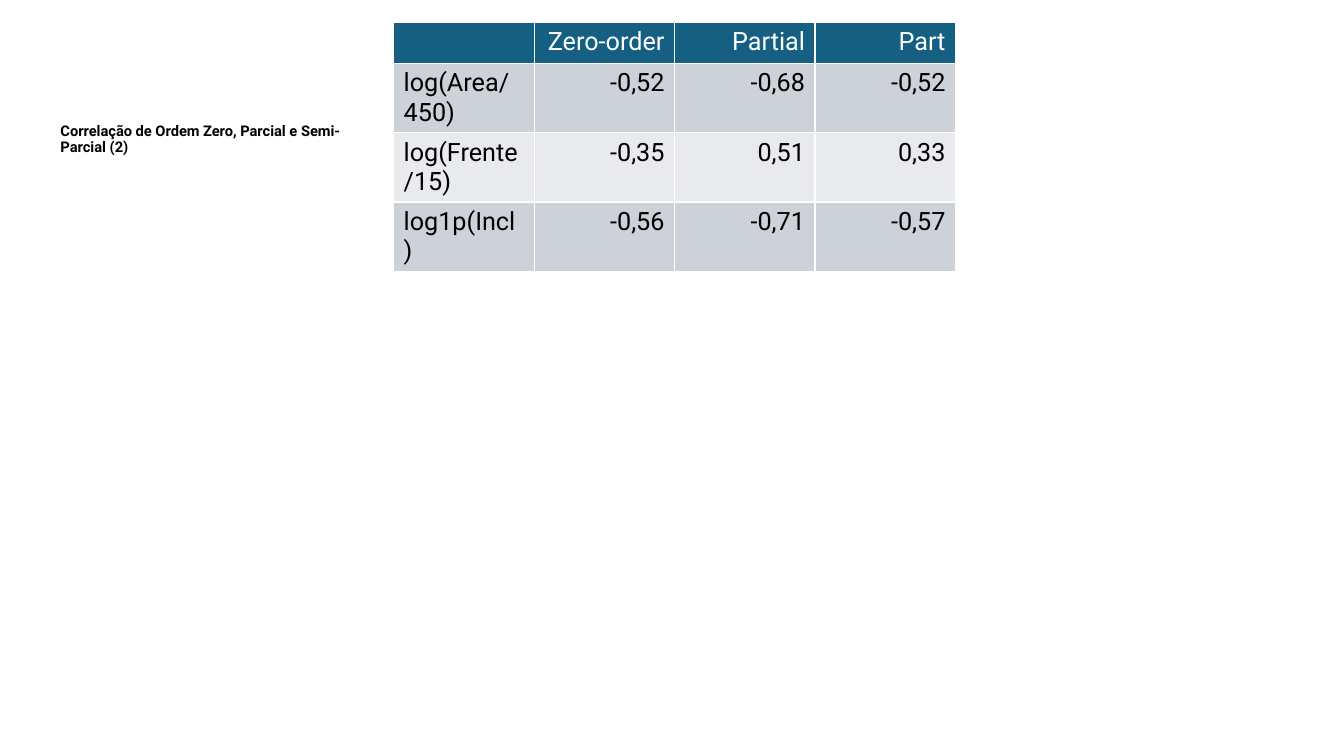
from dataclasses import dataclass

from pptx import Presentation
from pptx.dml.color import RGBColor as RGB
from pptx.enum.text import MSO_ANCHOR as Anchor, PP_ALIGN as Align
from pptx.util import Cm, Pt


@dataclass(frozen=True)
class Theme:
    font: str = "Roboto"
    heading_size: float = 10.5
    table_size: float = 18
    ink: RGB = RGB(0x00, 0x00, 0x00)
    header_ink: RGB = RGB(0xFF, 0xFF, 0xFF)
    header_fill: RGB = RGB(0x15, 0x60, 0x82)
    band_fills: tuple = (RGB(0xCC, 0xD2, 0xD8), RGB(0xE8, 0xEA, 0xED))


class SlideBuilder:
    def __init__(self, slide, theme):
        self.slide = slide
        self.theme = theme

    def style_runs(self, paragraph, size, color, bold=False):
        for run in paragraph.runs:
            run.font.name = self.theme.font
            run.font.size = Pt(size)
            run.font.bold = bold
            run.font.color.rgb = color

    def heading(self, idx, text, left, top, width, height):
        """Fill the body placeholder with the slide's heading."""
        heading = self.slide.placeholders[idx]
        heading.left, heading.top = Cm(left), Cm(top)
        heading.width, heading.height = Cm(width), Cm(height)
        frame = heading.text_frame
        frame.text = text
        frame.word_wrap = True
        frame.vertical_anchor = Anchor.TOP
        paragraph = frame.paragraphs[0]
        paragraph.alignment = Align.LEFT
        paragraph.line_spacing = 0.9
        paragraph.space_before = Pt(30)
        self.style_runs(paragraph, self.theme.heading_size, self.theme.ink, bold=True)

    def table(self, rows, left, top, width, header_height, row_height):
        """Add a banded table; the table style supplies its white rules."""
        theme = self.theme
        height = header_height + row_height * (len(rows) - 1)
        table = self.slide.shapes.add_table(
            len(rows), len(rows[0]), Cm(left), Cm(top), Cm(width), Cm(height)
        ).table
        for r, values in enumerate(rows):
            is_header = r == 0
            table.rows[r].height = Cm(header_height if is_header else row_height)
            fill = theme.header_fill if is_header else theme.band_fills[(r - 1) % 2]
            ink = theme.header_ink if is_header else theme.ink
            for c, value in enumerate(values):
                cell = table.cell(r, c)
                cell.fill.solid()
                cell.fill.fore_color.rgb = fill
                cell.text_frame.text = value
                paragraph = cell.text_frame.paragraphs[0]
                paragraph.alignment = Align.RIGHT if c else Align.LEFT
                self.style_runs(paragraph, theme.table_size, ink)

    def remove_empty_placeholders(self):
        for placeholder in list(self.slide.placeholders):
            if not placeholder.text_frame.text:
                placeholder.element.getparent().remove(placeholder.element)


CORRELATIONS = [
    ("", "Zero-order", "Partial", "Part"),
    ("log(Area/450)", "-0,52", "-0,68", "-0,52"),
    ("log(Frente/15)", "-0,35", "0,51", "0,33"),
    ("log1p(Incl)", "-0,56", "-0,71", "-0,57"),
]


def main():
    presentation = Presentation()
    presentation.slide_width, presentation.slide_height = Cm(33.87), Cm(19.05)

    # The caption layout has an unbulleted body placeholder at index 2
    caption_layout = presentation.slide_layouts[7]
    builder = SlideBuilder(presentation.slides.add_slide(caption_layout), Theme())

    # Heading on the left
    builder.heading(2, "Correlação de Ordem Zero, Parcial e Semi-Parcial (2)",
                    1.27, 3, 8.36, 9.78)
    builder.remove_empty_placeholders()

    # Correlation table
    builder.table(CORRELATIONS, left=9.92, top=0.57, width=14.16,
                  header_height=1, row_height=1.74)

    presentation.save("out.pptx")


if __name__ == "__main__":
    main()
